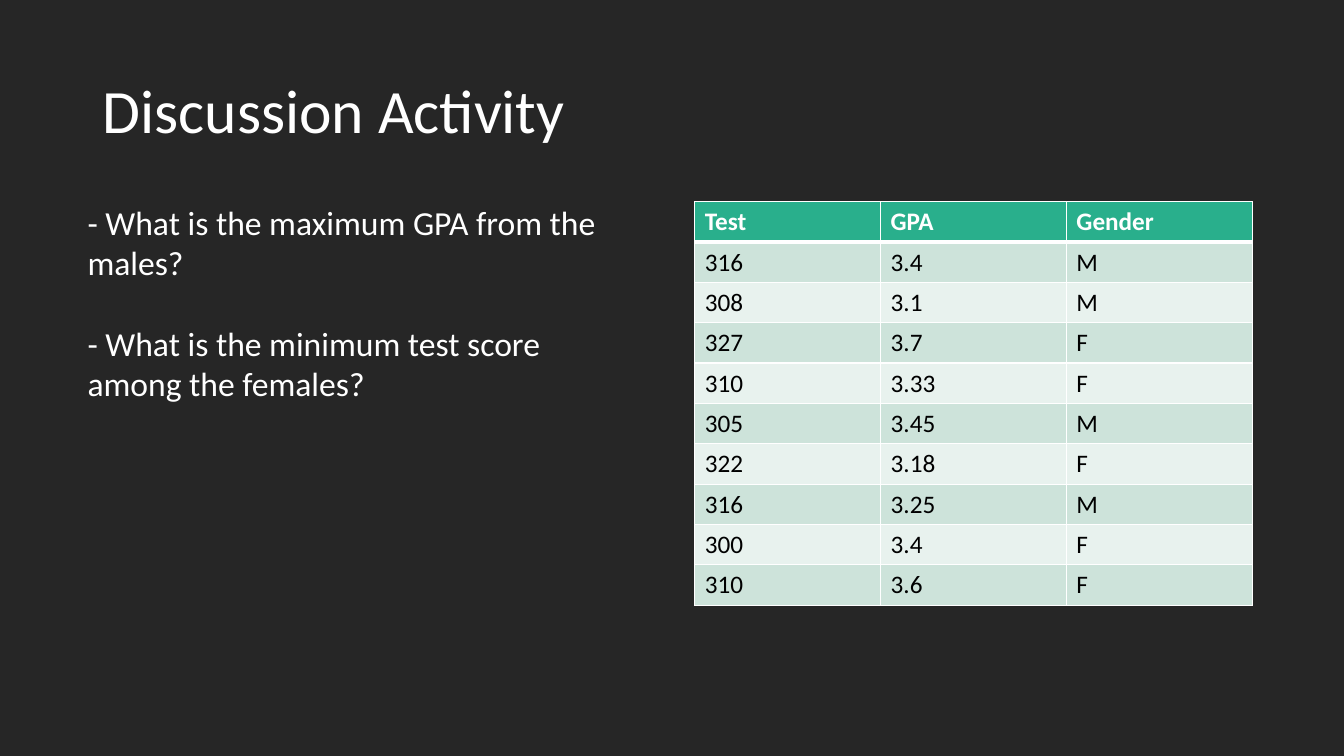
from lxml.etree import SubElement
from pptx import Presentation
from pptx.dml.color import RGBColor as RGB
from pptx.enum.text import MSO_ANCHOR as Anchor
from pptx.oxml.ns import qn
from pptx.util import Inches, Pt

TITLE = "Discussion Activity"
QUESTIONS = [
    "- What is the maximum GPA from the males?",
    "- What is the minimum test score among the females?",
]
HEADER = ("Test", "GPA", "Gender")
STUDENTS = [
    ("316", "3.4", "M"),
    ("308", "3.1", "M"),
    ("327", "3.7", "F"),
    ("310", "3.33", "F"),
    ("305", "3.45", "M"),
    ("322", "3.18", "F"),
    ("316", "3.25", "M"),
    ("300", "3.4", "F"),
    ("310", "3.6", "F"),
]
THEME = {
    "font": "Calibri",
    "background": "262626",
    "light": "FFFFFF",
    "dark": "000000",
    "header": "29AF8C",
    "bands": ("CDE3DA", "E8F2EE"),
    "title_size": 44,
    "question_size": 24,
    "table_size": 18,
    "rule": 1,
    "header_rule": 3,
}
TITLE_BOX = (0.92, 0.4, 11.5, 1.45)
QUESTION_BOX = (0.77, 1.95, 5.67, 2.52)
TABLE_BOX = (6.89, 2, 5.53, 4)


def style(p, size, color, bold=False):
    p.font.name = THEME["font"]
    p.font.size = Pt(size)
    p.font.bold = bold
    p.font.color.rgb = RGB.from_string(color)


def add_text(slide, box, lines, size, anchor, line_spacing=1.0, gap=0):
    tf = slide.shapes.add_textbox(*map(Inches, box)).text_frame
    tf.word_wrap = True
    tf.vertical_anchor = anchor
    for i, line in enumerate(lines):
        p = tf.add_paragraph() if i else tf.paragraphs[0]
        p.text = line
        p.line_spacing = line_spacing
        p.space_before = Pt(gap if i else 0)
        style(p, size, THEME["light"])


def set_borders(cell, top, bottom):
    tcPr = cell._tc.get_or_add_tcPr()
    widths = {"L": THEME["rule"], "R": THEME["rule"], "T": top, "B": bottom}
    for side, width in widths.items():
        ln = SubElement(tcPr, qn(f"a:ln{side}"), w=str(Pt(width)))
        fill = SubElement(ln, qn("a:solidFill"))
        SubElement(fill, qn("a:srgbClr"), val=THEME["light"])


def add_student_table(slide):
    rows = [HEADER, *STUDENTS]
    table = slide.shapes.add_table(
        len(rows), len(HEADER), *map(Inches, TABLE_BOX)).table
    for r, values in enumerate(rows):
        is_header = r == 0
        fill = THEME["header"] if is_header else THEME["bands"][(r - 1) % 2]
        color = THEME["light"] if is_header else THEME["dark"]
        top = THEME["header_rule"] if r == 1 else THEME["rule"]
        bottom = THEME["header_rule"] if is_header else THEME["rule"]
        for c, value in enumerate(values):
            cell = table.cell(r, c)
            cell.text = value
            cell.vertical_anchor = Anchor.MIDDLE
            style(cell.text_frame.paragraphs[0], THEME["table_size"], color, is_header)
            set_borders(cell, top, bottom)
            cell.fill.solid()
            cell.fill.fore_color.rgb = RGB.from_string(fill)


def main():
    prs = Presentation()
    prs.slide_width, prs.slide_height = Inches(13.33), Inches(7.5)
    slide = prs.slides.add_slide(prs.slide_layouts[6])
    slide.background.fill.solid()
    slide.background.fill.fore_color.rgb = RGB.from_string(THEME["background"])
    add_text(slide, TITLE_BOX, [TITLE], THEME["title_size"], Anchor.MIDDLE,
             line_spacing=0.9)
    add_student_table(slide)
    add_text(slide, QUESTION_BOX, QUESTIONS, THEME["question_size"], Anchor.TOP,
             gap=29)
    prs.save("out.pptx")


if __name__ == "__main__":
    main()
